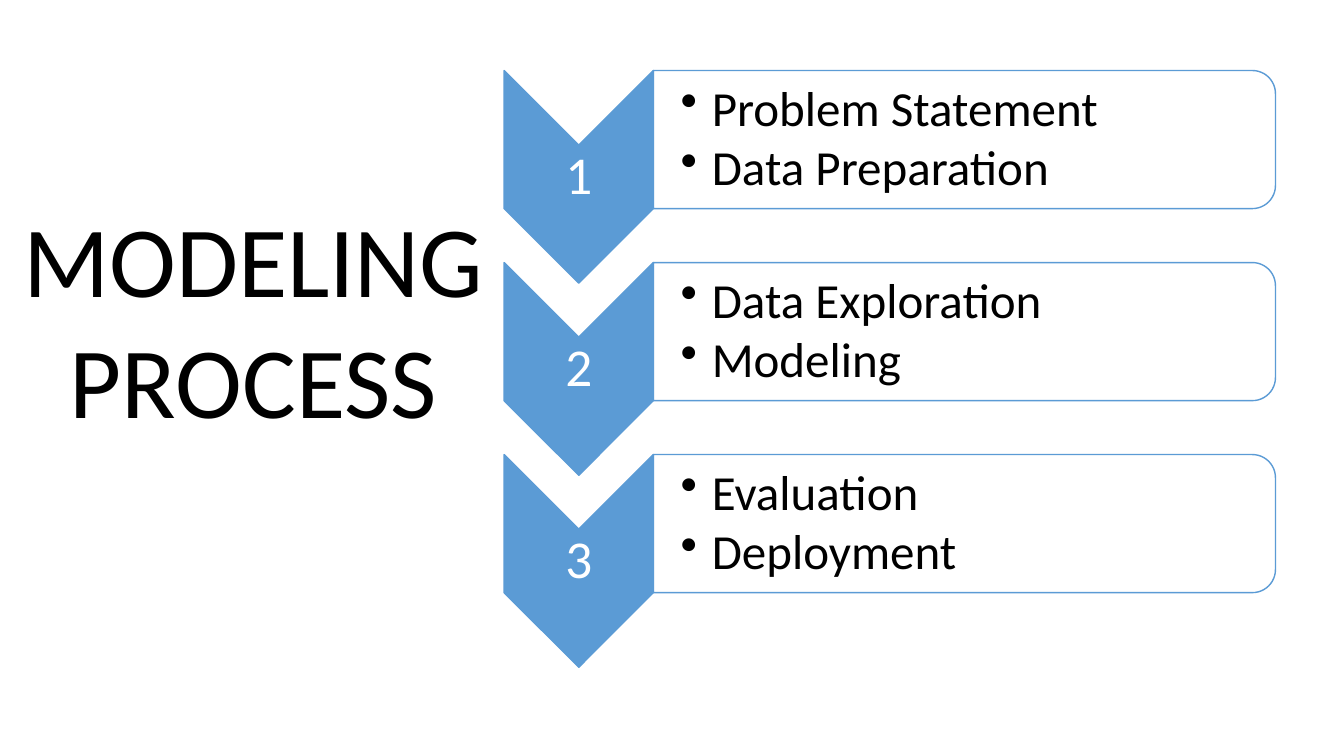
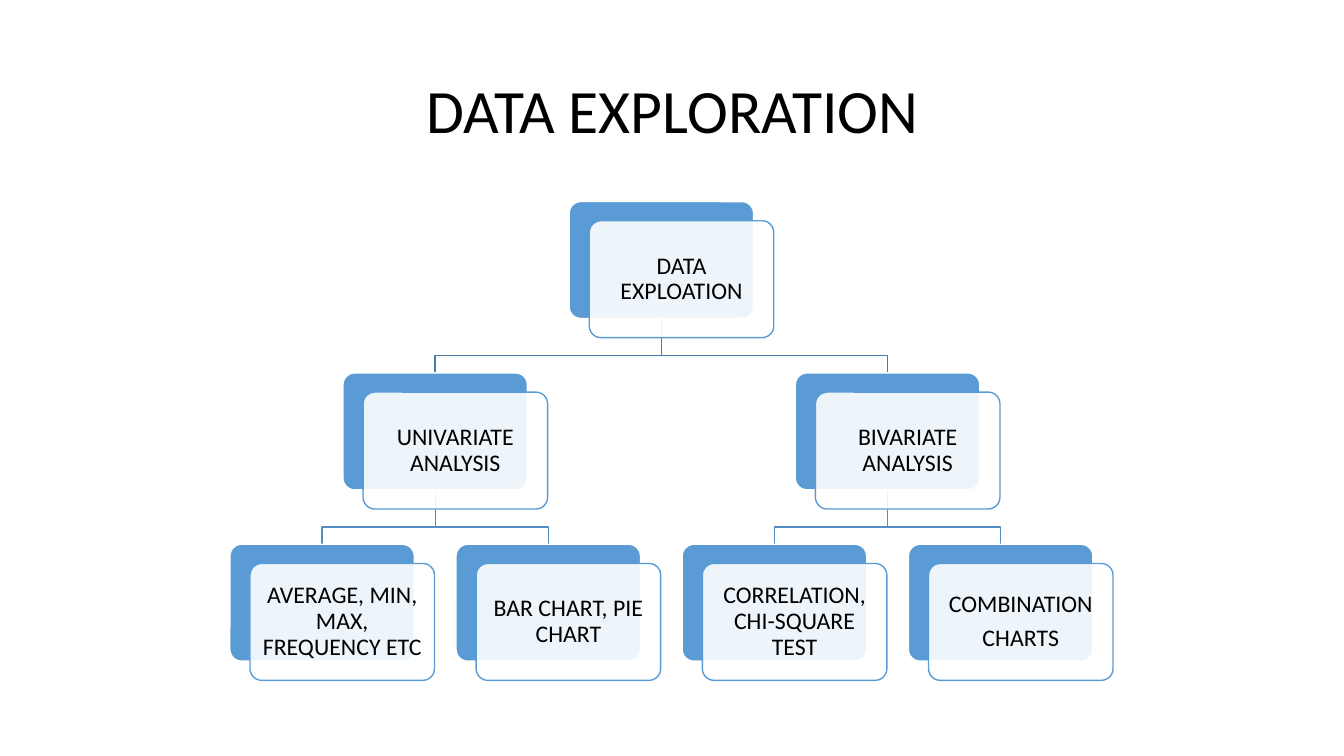
import lxml.etree
import pptx
import pptx.dml.color
import pptx.enum.shapes
import pptx.enum.text
import pptx.oxml.ns
import pptx.util

Inches = pptx.util.Inches
Pt = pptx.util.Pt
SHAPE = pptx.enum.shapes.MSO_SHAPE
ALIGN = pptx.enum.text.PP_ALIGN
ANCHOR = pptx.enum.text.MSO_ANCHOR
qn = pptx.oxml.ns.qn

FONT = "Calibri"
COLORS = {
    "accent": "5B9BD5",
    "white": "FFFFFF",
    "text": "000000",
    "upper_link": "497CAB",
    "lower_link": "538DC1",
}
STEPS = [
    ("Problem Statement", "Data Preparation"),
    ("Data Exploration", "Modeling"),
    ("Evaluation", "Deployment"),
]
# Each node: lines of its label, then its children
EXPLORATION = (["DATA EXPLOATION"], [
    (["UNIVARIATE ANALYSIS"], [
        (["AVERAGE, MIN, MAX, FREQUENCY ETC"], []),
        (["BAR CHART, PIE CHART"], []),
    ]),
    (["BIVARIATE ANALYSIS"], [
        (["CORRELATION, CHI-SQUARE TEST"], []),
        (["COMBINATION", "CHARTS"], []),
    ]),
])


def rgb(name):
    return pptx.dml.color.RGBColor.from_string(COLORS[name])


def write(shape, lines, size, color="text", align=ALIGN.CENTER, anchor=ANCHOR.MIDDLE,
          insets=(0.1, 0.05, 0.1, 0.05), spacing=0.9, after=0, wrap=True, bullet_indent=None):
    """Fill a shape with paragraphs; insets run left, top, right, bottom in inches."""
    frame = shape.text_frame
    frame.word_wrap = wrap
    frame.vertical_anchor = anchor
    (frame.margin_left, frame.margin_top,
     frame.margin_right, frame.margin_bottom) = map(Inches, insets)
    for index, line in enumerate(lines):
        paragraph = frame.add_paragraph() if index else frame.paragraphs[0]
        paragraph.alignment = align
        paragraph.line_spacing = spacing
        paragraph.space_after = Pt(after)
        run = paragraph.add_run()
        run.text = line
        run.font.name = FONT
        run.font.size = Pt(size)
        run.font.color.rgb = rgb(color)
        if bullet_indent:
            properties = paragraph._p.get_or_add_pPr()
            properties.set("marL", str(Inches(bullet_indent)))
            properties.set("indent", str(-Inches(bullet_indent)))
            lxml.etree.SubElement(properties, qn("a:buChar")).set("char", "•")


def add_text(slide, left, top, width, height, lines, size, **formatting):
    box = slide.shapes.add_textbox(*map(Inches, (left, top, width, height)))
    write(box, lines, size, **formatting)


def add_box(slide, kind, left, top, width, height, fill, line, opacity=100, quarter_turn=False):
    """Draw a preset shape in the visible box given, also when turned by 90 degrees."""
    if quarter_turn:
        left, top = left + (width - height) / 2, top + (height - width) / 2
        width, height = height, width
    shape = slide.shapes.add_shape(kind, *map(Inches, (left, top, width, height)))
    shape.rotation = 90 if quarter_turn else 0
    shape.shadow.inherit = False
    shape.fill.solid()
    shape.fill.fore_color.rgb = rgb(fill)
    if opacity < 100:
        color = shape.element.spPr.find(qn("a:solidFill")).find(qn("a:srgbClr"))
        lxml.etree.SubElement(color, qn("a:alpha")).set("val", str(opacity * 1000))
    shape.line.color.rgb = rgb(line)
    shape.line.width = Pt(1)
    return shape


def add_step(slide, left, top, width, number, points):
    arrow_width, arrow_height, panel_height = 1.48, 2.11, 1.37
    panel_left, panel_width = left + arrow_width, width - arrow_width
    add_box(slide, SHAPE.CHEVRON, left, top, arrow_width, arrow_height,
            "accent", "accent", quarter_turn=True)
    add_text(slide, left, top + 0.74, arrow_width, 0.63, [str(number)], 38,
             color="white", insets=(0.03,) * 4)
    add_box(slide, SHAPE.ROUND_2_SAME_RECTANGLE, panel_left, top, panel_width, panel_height,
            "white", "accent", opacity=90, quarter_turn=True)
    add_text(slide, panel_left, top + 0.07, panel_width - 0.07, panel_height - 0.13, points, 35,
             align=ALIGN.LEFT, insets=(0.27, 0.02, 0.02, 0.02), after=5, bullet_indent=0.31)


def add_steps(slide, left, top, width, height):
    pitch = (height - 2.11) / (len(STEPS) - 1)
    for index, points in enumerate(STEPS):
        add_step(slide, left, top + index * pitch, width, index + 1, points)


def add_link(slide, start, end, color):
    """Draw a stepped line from a parent's bottom to a child's top."""
    (start_x, start_y), (end_x, end_y) = start, end
    bend_y = end_y - 0.17
    builder = slide.shapes.build_freeform(Inches(start_x), Inches(start_y))
    builder.add_line_segments(
        [(Inches(x), Inches(y)) for x, y in ((start_x, bend_y), (end_x, bend_y), end)],
        close=False)
    link = builder.convert_to_shape()
    link.shadow.inherit = False
    link.fill.background()
    link.line.color.rgb = rgb(color)
    link.line.width = Pt(1)


def add_card(slide, left, top, width, height, lines):
    add_box(slide, SHAPE.ROUNDED_RECTANGLE, left, top, width, height,
            "accent", "white").adjustments[0] = 0.1
    front = add_box(slide, SHAPE.ROUNDED_RECTANGLE, left + 0.2, top + 0.19, width, height,
                    "white", "accent", opacity=90)
    front.adjustments[0] = 0.1
    write(front, lines, 17, insets=(0.07,) * 4, after=6)


def add_tree(slide, left, top, width, height):
    """Spread the leaves evenly and centre each parent over its children."""
    card_width, card_height = 1.83, 1.16
    leaf_pitch = (width - card_width) / 3
    level_pitch = (height - card_height) / 2
    cards, links = [], []
    leaf_count = 0

    def place(node, level):
        nonlocal leaf_count
        lines, children = node
        card_top = top + level * level_pitch
        if children:
            centers = [place(child, level + 1) for child in children]
            center = sum(centers) / len(centers)
            color = "lower_link" if level else "upper_link"
            links.extend(((center, card_top + card_height),
                          (child_center, card_top + level_pitch), color)
                         for child_center in centers)
        else:
            center = left + card_width / 2 + leaf_count * leaf_pitch
            leaf_count += 1
        cards.append((center - card_width / 2, card_top, card_width, card_height, lines))
        return center

    place(EXPLORATION, 0)
    for link in links:
        add_link(slide, *link)
    for card in cards:
        add_card(slide, *card)


def build_modeling_slide(slide):
    add_steps(slide, 5, 0.7, 7.65, 5.92)
    add_text(slide, 0.11, 1.9, 4.81, 2.52, ["MODELING", "PROCESS"], 72,
             anchor=ANCHOR.TOP, spacing=1.0, wrap=False)


def build_exploration_slide(slide):
    add_text(slide, 0.92, 0.4, 11.5, 1.45, ["DATA EXPLORATION"], 44)
    add_tree(slide, 2.28, 2, 8.56, 4.56)


def main():
    deck = pptx.Presentation()
    deck.slide_width, deck.slide_height = Inches(13.33), Inches(7.5)
    for build in (build_modeling_slide, build_exploration_slide):
        build(deck.slides.add_slide(deck.slide_layouts[6]))
    deck.save("out.pptx")


if __name__ == "__main__":
    main()
